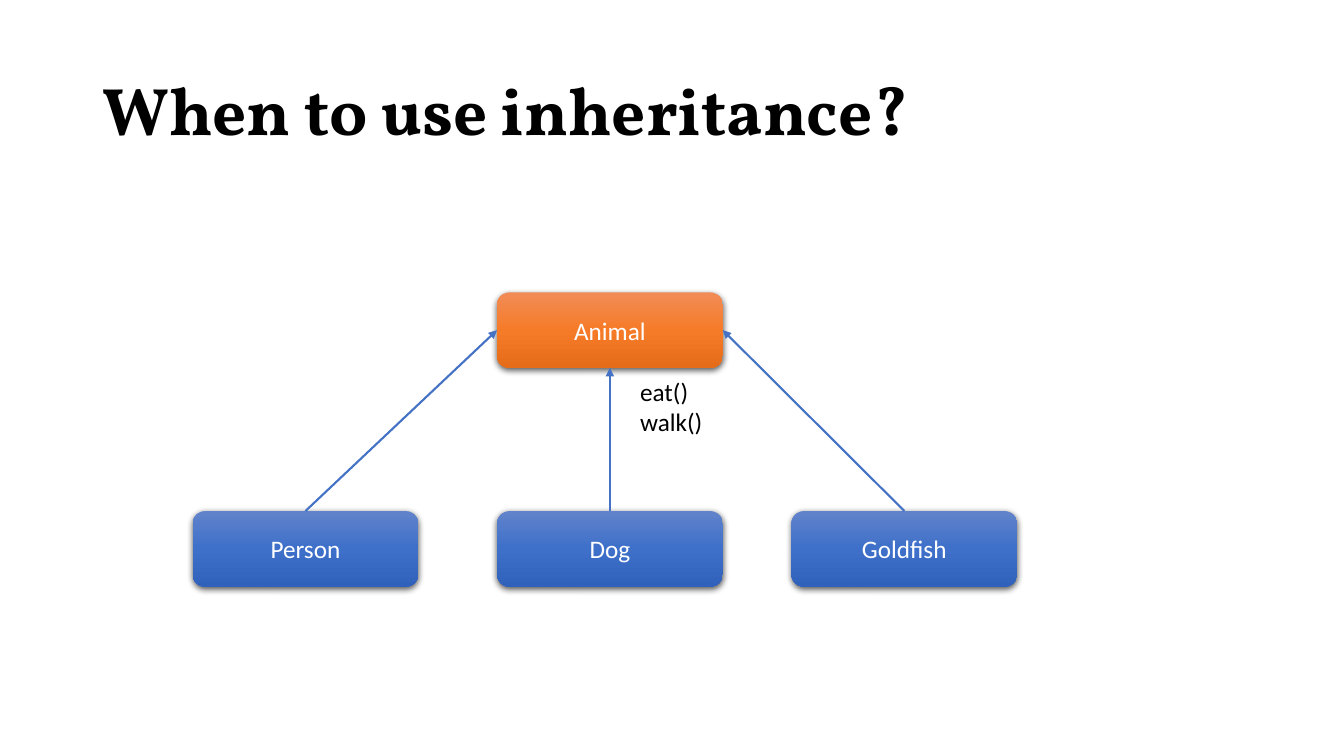
from pptx import Presentation
from pptx.dml.color import RGBColor
from pptx.enum.shapes import MSO_CONNECTOR, MSO_SHAPE
from pptx.enum.text import MSO_ANCHOR, MSO_AUTO_SIZE, PP_ALIGN
from pptx.oxml import parse_xml
from pptx.oxml.ns import nsdecls, qn
from pptx.util import Inches, Pt
from lxml.etree import SubElement

THEME = {
    "heading_font": "Vollkorn", "body_font": "Calibri",
    "heading_size": Pt(48), "body_size": Pt(18),
    "ink": "000000", "label": "FFFFFF", "arrow": "4472C4",
    "parent": ("F18C57", "F67B28", "E56C19"),
    "child": ("6183CB", "3E70CA", "3062BB"),
}

deck = Presentation()
deck.slide_width, deck.slide_height = Inches(13.33), Inches(7.5)
slide = deck.slides.add_slide(deck.slide_layouts[6])


def area(left, top, width, height):
    return (int(deck.slide_width * left / 100), int(deck.slide_height * top / 100),
            int(deck.slide_width * width / 100), int(deck.slide_height * height / 100))


def style(paragraph, font, size, color):
    paragraph.font.name = THEME[font]
    paragraph.font.size = THEME[size]
    paragraph.font.color.rgb = RGBColor.from_string(THEME[color])


heading = slide.shapes.add_textbox(*area(6.88, 5.33, 86.25, 19.33)).text_frame
heading.word_wrap = True
heading.vertical_anchor = MSO_ANCHOR.MIDDLE
heading.text = "When to use inheritance?"
heading.paragraphs[0].line_spacing = 0.9
style(heading.paragraphs[0], "heading_font", "heading_size", "ink")
heading.paragraphs[0].font.bold = True

CLASS_WIDTH, CLASS_HEIGHT = 16.8, 10
PARENT_ROW, CHILD_ROW = 38.67, 67.6
LEFT_COLUMN, MIDDLE_COLUMN, RIGHT_COLUMN = 14.33, 36.98, 58.89

classes = {}
for class_name, left, top, role in (
    ("Animal", MIDDLE_COLUMN, PARENT_ROW, "parent"),
    ("Dog", MIDDLE_COLUMN, CHILD_ROW, "child"),
    ("Person", LEFT_COLUMN, CHILD_ROW, "child"),
    ("Goldfish", RIGHT_COLUMN, CHILD_ROW, "child"),
):
    node = slide.shapes.add_shape(
        MSO_SHAPE.ROUNDED_RECTANGLE, *area(left, top, CLASS_WIDTH, CLASS_HEIGHT))
    node.line.fill.background()
    node.fill.gradient()
    node.fill.gradient_angle = 270
    stops = node.element.spPr.find(qn("a:gradFill")).find(qn("a:gsLst"))
    for stop in list(stops):
        stops.remove(stop)
    for position, color in zip((0, 50000, 100000), THEME[role]):
        stops.append(parse_xml(
            f'<a:gs {nsdecls("a")} pos="{position}"><a:srgbClr val="{color}"/></a:gs>'))
    node.shadow.inherit = False
    node.element.spPr.find(qn("a:effectLst")).append(parse_xml(
        f'<a:outerShdw {nsdecls("a")} blurRad="{Pt(4.5)}" dist="{Pt(1.5)}" dir="5400000" '
        'algn="ctr" rotWithShape="0"><a:srgbClr val="000000"><a:alpha val="63000"/>'
        '</a:srgbClr></a:outerShdw>'))
    node.text_frame.vertical_anchor = MSO_ANCHOR.MIDDLE
    node.text_frame.text = class_name
    node.text_frame.paragraphs[0].alignment = PP_ALIGN.CENTER
    style(node.text_frame.paragraphs[0], "body_font", "body_size", "label")
    classes[class_name] = node

for child, parent_side in (("Dog", 2), ("Goldfish", 3), ("Person", 1)):
    arrow = slide.shapes.add_connector(MSO_CONNECTOR.STRAIGHT, 0, 0, 0, 0)
    arrow.begin_connect(classes[child], 0)
    arrow.end_connect(classes["Animal"], parent_side)
    arrow.line.color.rgb = RGBColor.from_string(THEME["arrow"])
    arrow.line.width = Pt(1.5)
    SubElement(arrow.line._get_or_add_ln(), qn("a:tailEnd"), type="triangle")
    SubElement(arrow.element.spPr, qn("a:effectLst"))

methods = slide.shapes.add_textbox(*area(46.89, 49.07, 7.28, 9.47)).text_frame
methods.word_wrap = True
methods.auto_size = MSO_AUTO_SIZE.SHAPE_TO_FIT_TEXT
methods.text = "eat()\nwalk()"
for method in methods.paragraphs:
    style(method, "body_font", "body_size", "ink")

deck.save("out.pptx")
